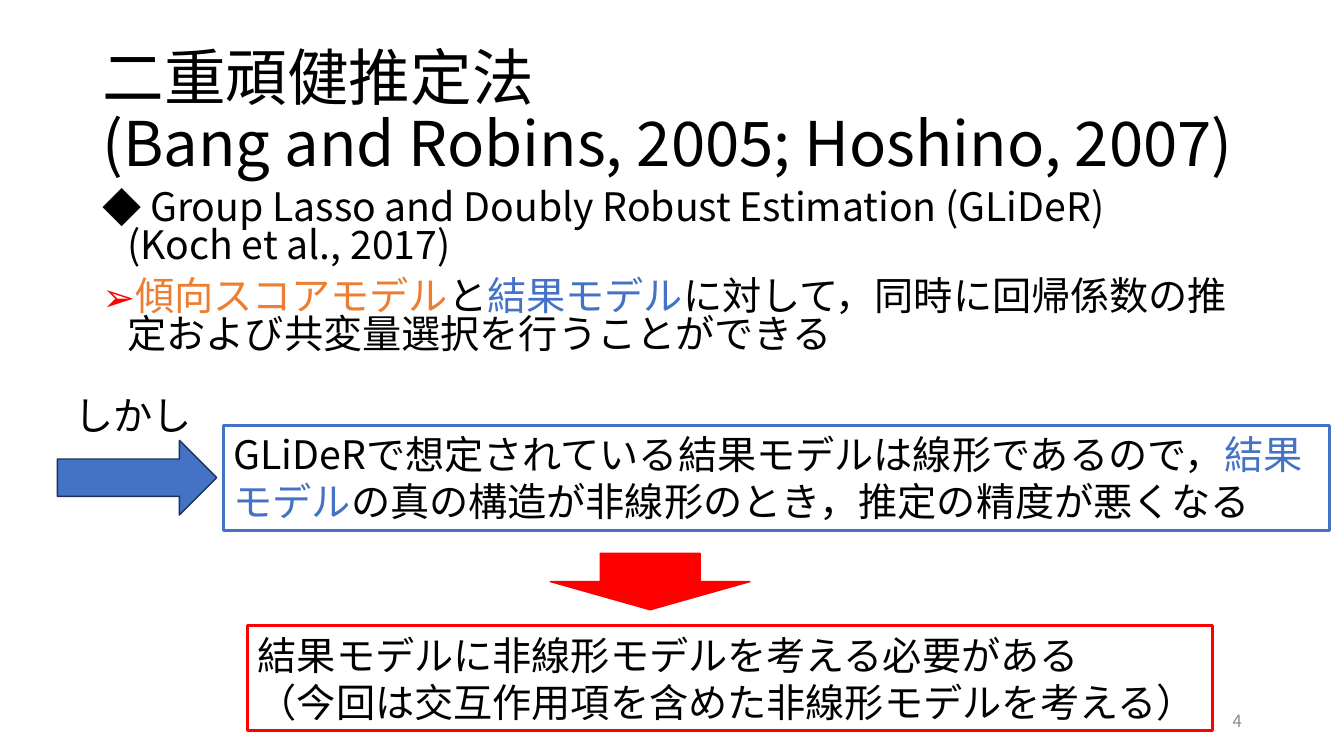
from lxml.etree import SubElement
from pptx import Presentation
from pptx.dml.color import RGBColor
from pptx.enum.shapes import MSO_SHAPE as Shape
from pptx.enum.text import MSO_ANCHOR as Anchor, MSO_AUTO_SIZE as AutoSize, PP_ALIGN as Align
from pptx.oxml.ns import qn
from pptx.util import Pt

FONT = "Noto Sans CJK JP"
COLORS = {"black": "000000", "blue": "4472C4", "navy": "1E3256",
          "orange": "ED7D31", "red": "FF0000", "gray": "8C8C8C"}

TITLE = [[("二重頑健推定法\n(Bang and Robins, 2005; Hoshino, 2007)", "black")]]
POINTS = [
    [(" Group Lasso and Doubly Robust Estimation (GLiDeR)\n(Koch et al., 2017)", "black")],
    [("傾向スコアモデル", "orange"), ("と", "black"), ("結果モデル", "blue"),
     ("に対して，同時に回帰係数の推定および共変量選択を行うことができる", "black")],
]
BULLETS = [("◆", "black"), ("➢", "red")]
HOWEVER = [[("しかし", "black")]]
PROBLEM = [[("GLiDeRで想定されている結果モデルは線形であるので，", "black"), ("結果モデル", "blue"),
            ("の真の構造が非線形のとき，推定の精度が悪くなる", "black")]]
REMEDY = [[("結果モデルに非線形モデルを考える必要がある", "black")],
          [("（今回は交互作用項を含めた非線形モデルを考える）", "black")]]
PAGE = [[("4", "gray")]]

TITLE_AREA = (66, 28.8, 828, 104.4)
POINTS_AREA = (66, 133.2, 828, 136.8)
HOWEVER_AREA = (46.1, 275.8, 99.4, 41)
PAGE_AREA = (678.2, 500.4, 216, 28.8)
BOXES = [(PROBLEM, (159.8, 303.8, 789.8, 75), "blue"),
         (REMEDY, (177.1, 447.1, 689, 75), "red")]
ARROWS = [(Shape.RIGHT_ARROW, (41, 314.6, 113.8, 53.3), "blue", "navy"),
          (Shape.DOWN_ARROW, (393.1, 395.3, 142.6, 40.3), "red", "red")]


def rgb(name):
    return RGBColor.from_string(COLORS[name])


def add_bullet(paragraph, mark, color):
    props = paragraph._p.get_or_add_pPr()
    props.set("marL", str(Pt(18)))
    props.set("indent", str(Pt(-18)))
    fill = SubElement(SubElement(props, qn("a:buClr")), qn("a:srgbClr"))
    fill.set("val", COLORS[color])
    SubElement(props, qn("a:buFont")).set("typeface", FONT)
    SubElement(props, qn("a:buChar")).set("char", mark)


def write(shape, paragraphs, size=28, align=Align.LEFT, anchor=Anchor.TOP,
          spacing=1, before=0, bullets=(), wrap=True):
    frame = shape.text_frame
    frame.word_wrap = wrap
    frame.auto_size = AutoSize.NONE
    frame.vertical_anchor = anchor
    for index, pieces in enumerate(paragraphs):
        paragraph = frame.add_paragraph() if index else frame.paragraphs[0]
        paragraph.alignment = align
        paragraph.line_spacing = spacing
        paragraph.space_before = Pt(before if index else 0)
        if bullets:
            add_bullet(paragraph, *bullets[index])
        paragraph.font.name = FONT
        paragraph.font.size = Pt(size)
        paragraph.font.color.rgb = rgb(pieces[0][1])
        SubElement(paragraph.font._element, qn("a:ea")).set("typeface", FONT)
        for text, color in pieces:
            for row, line in enumerate(text.split("\n")):
                if row:
                    paragraph.add_line_break()
                run = paragraph.add_run()
                run.text = line
                if len(pieces) > 1:
                    run.font.color.rgb = rgb(color)


def add_shape(kind, area, fill, line, width):
    shape = slide.shapes.add_shape(kind, *map(Pt, area))
    shape.shadow.inherit = False
    if fill:
        shape.fill.solid()
        shape.fill.fore_color.rgb = rgb(fill)
    else:
        shape.fill.background()
    shape.line.color.rgb = rgb(line)
    shape.line.width = Pt(width)
    return shape


def add_text(area, paragraphs, **style):
    write(slide.shapes.add_textbox(*map(Pt, area)), paragraphs, **style)


deck = Presentation()
deck.slide_width, deck.slide_height = Pt(960), Pt(540)
slide = deck.slides.add_slide(deck.slide_layouts[5])

title = slide.shapes.title
title.left, title.top, title.width, title.height = map(Pt, TITLE_AREA)
write(title, TITLE, size=44, anchor=Anchor.MIDDLE, spacing=0.9)

add_text(POINTS_AREA, POINTS, spacing=0.8, before=10, bullets=BULLETS)
add_text(PAGE_AREA, PAGE, size=12, align=Align.RIGHT, anchor=Anchor.MIDDLE)
for paragraphs, area, line in BOXES:
    write(add_shape(Shape.RECTANGLE, area, None, line, 2.25), paragraphs)
for kind, area, fill, line in ARROWS:
    add_shape(kind, area, fill, line, 1)
add_text(HOWEVER_AREA, HOWEVER, wrap=False)

deck.save("out.pptx")
